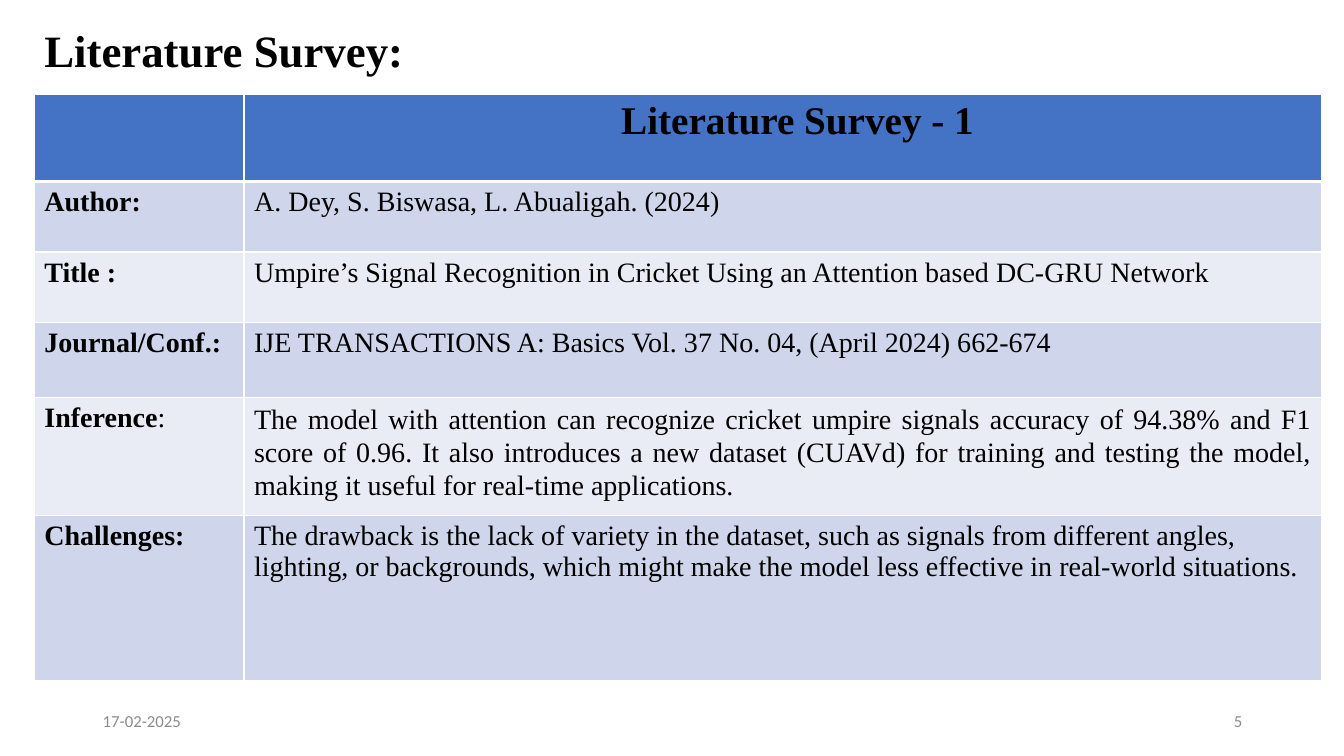
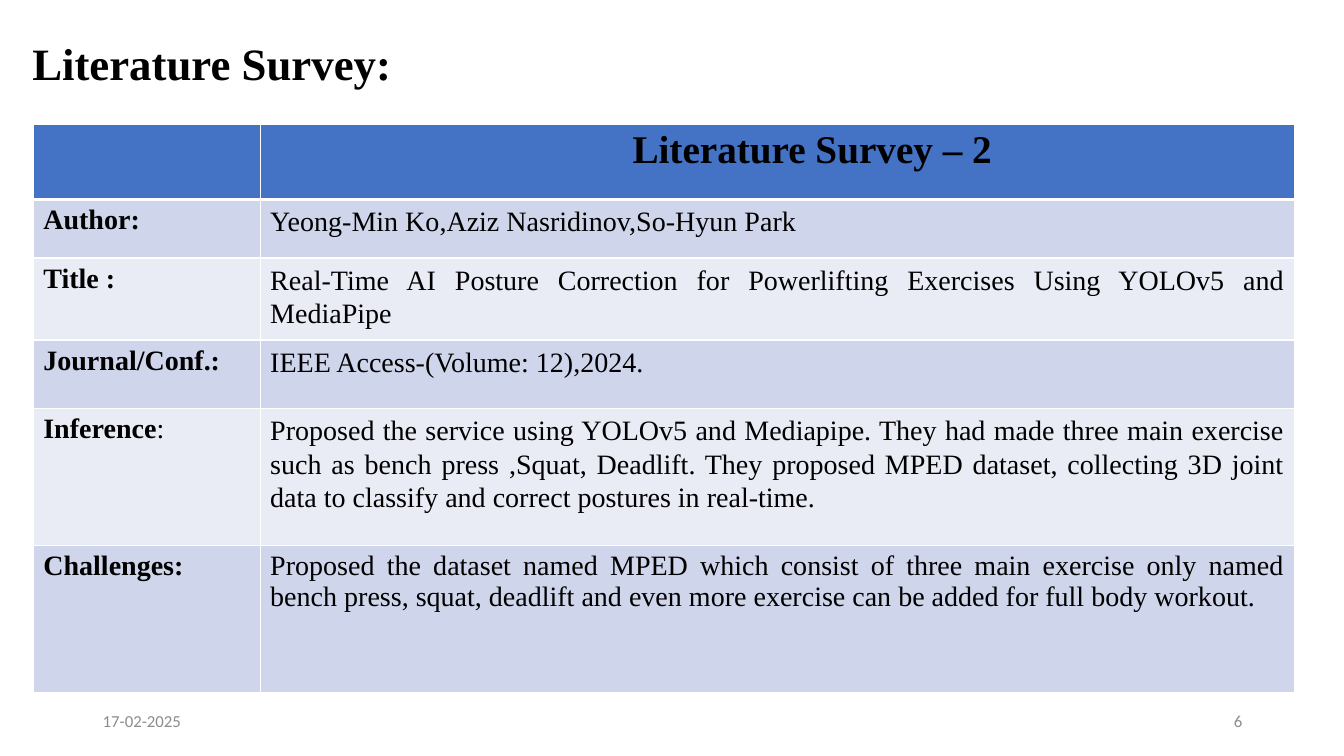
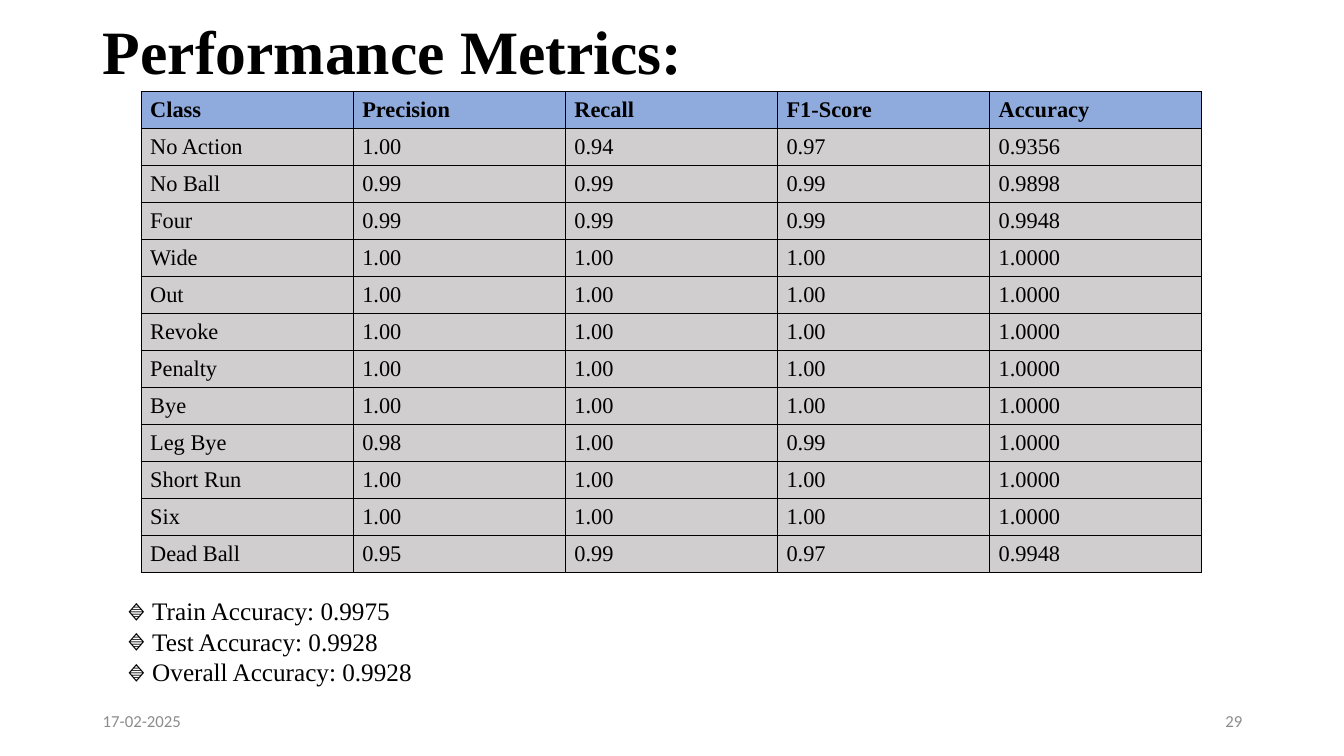
from lxml import etree
from pptx import Presentation
from pptx.dml.color import RGBColor
from pptx.enum.text import MSO_ANCHOR, MSO_AUTO_SIZE, PP_ALIGN
from pptx.oxml.ns import qn
from pptx.util import Inches, Pt

LEFT, CENTER, RIGHT, JUSTIFY = PP_ALIGN.LEFT, PP_ALIGN.CENTER, PP_ALIGN.RIGHT, PP_ALIGN.JUSTIFY
TOP, MIDDLE = MSO_ANCHOR.TOP, MSO_ANCHOR.MIDDLE
NO_FIT = MSO_AUTO_SIZE.NONE

BLACK = RGBColor(0x00, 0x00, 0x00)
WHITE = RGBColor(0xFF, 0xFF, 0xFF)
GRAY = RGBColor(0x8C, 0x8C, 0x8C)
HEADER_BLUE = RGBColor(0x44, 0x72, 0xC4)
BAND_DARK = RGBColor(0xCF, 0xD5, 0xEA)
BAND_LIGHT = RGBColor(0xE9, 0xEB, 0xF5)
METRIC_BLUE = RGBColor(0x8F, 0xAA, 0xDC)
METRIC_GRAY = RGBColor(0xD0, 0xCE, 0xCE)

SERIF, SANS = "Times New Roman", "Calibri"
TITLE_ONLY, TITLE_AND_CONTENT = 5, 1
DATE = "17-02-2025"

JUSTIFIED = {"alignment": JUSTIFY, "line_spacing": 1.07}
SPACED = {**JUSTIFIED, "space_after": Pt(8)}
LABELS = ["Author:", "Title :", "Journal/Conf.:", "Inference", "Challenges:"]

SURVEYS = [
    {
        "number": "5",
        "title": (0.34, -0.2, 11.5, 1.45),
        "title_spacing": 0.9,
        "place": (0.34, 0.94),
        "columns": [2.08, 10.69],
        "rows": [0.86, 0.7, 0.7, 0.74, 1.11, 1.64],
        "heading": "Literature Survey - 1",
        "heading_inset": 0.39,
        "entries": [
            ("A. Dey, S. Biswasa, L. Abualigah. (2024)", {}),
            ("Umpire’s Signal Recognition in Cricket Using an Attention based DC-GRU Network", {}),
            ("IJE TRANSACTIONS A: Basics Vol. 37 No. 04, (April 2024) 662-674", {}),
            ("The model with attention can recognize cricket umpire signals accuracy of 94.38% and F1 "
             "score of 0.96. It also introduces a new dataset (CUAVd) for training and testing the model, "
             "making it useful for real-time applications.", JUSTIFIED),
            ("The drawback is the lack of variety in the dataset, such as signals from different angles, "
             "lighting, or backgrounds, which might make the model less effective in real-world situations.", {}),
        ],
    },
    {
        "number": "6",
        "title": (0.22, 0.3, 6.67, 0.64),
        "title_spacing": 1.0,
        "place": (0.33, 1.23),
        "columns": [2.25, 10.26],
        "rows": [0.75, 0.58, 0.78, 0.68, 1.36, 1.46],
        "heading": "Literature Survey – 2",
        "heading_inset": 0.79,
        "entries": [
            ("Yeong-Min Ko,Aziz Nasridinov,So-Hyun Park", SPACED),
            ("Real-Time AI Posture Correction for Powerlifting Exercises Using YOLOv5 and MediaPipe", SPACED),
            ("IEEE Access-(Volume: 12),2024.", JUSTIFIED),
            ("Proposed the service using YOLOv5 and Mediapipe. They had made three main exercise such as "
             "bench press ,Squat, Deadlift. They proposed MPED dataset, collecting 3D joint data to classify "
             "and correct postures in real-time.", SPACED),
            ("Proposed the dataset named MPED which consist of three main exercise only named bench press, "
             "squat, deadlift and even more exercise can be added for full body workout.",
             {"alignment": JUSTIFY, "space_after": Pt(8)}),
        ],
    },
]

METRICS = [
    ("Class", "Precision", "Recall", "F1-Score", "Accuracy"),
    ("No Action", "1.00", "0.94", "0.97", "0.9356"),
    ("No Ball", "0.99", "0.99", "0.99", "0.9898"),
    ("Four", "0.99", "0.99", "0.99", "0.9948"),
    ("Wide", "1.00", "1.00", "1.00", "1.0000"),
    ("Out", "1.00", "1.00", "1.00", "1.0000"),
    ("Revoke", "1.00", "1.00", "1.00", "1.0000"),
    ("Penalty", "1.00", "1.00", "1.00", "1.0000"),
    ("Bye", "1.00", "1.00", "1.00", "1.0000"),
    ("Leg Bye", "0.98", "1.00", "0.99", "1.0000"),
    ("Short Run", "1.00", "1.00", "1.00", "1.0000"),
    ("Six", "1.00", "1.00", "1.00", "1.0000"),
    ("Dead Ball", "0.95", "0.99", "0.97", "0.9948"),
]
ACCURACIES = ["Train Accuracy: 0.9975", "Test Accuracy: 0.9928", "Overall Accuracy: 0.9928"]


def apply_format(target, values):
    """Set each named attribute of the target."""
    for name, value in values.items():
        setattr(target, name, value)


class Deck:
    """Holds the shared style and the current slide."""

    def __init__(self):
        """Start an empty wide presentation."""
        self.presentation = Presentation()
        apply_format(self.presentation, {"slide_width": Inches(13.33), "slide_height": Inches(7.5)})
        self.slide = None

    def add_slide(self, layout, number):
        """Start a slide with its date and number."""
        self.slide = self.presentation.slides.add_slide(self.presentation.slide_layouts[layout])
        for text, left, alignment in ((DATE, 0.92, LEFT), (number, 9.42, RIGHT)):
            shape = self.slide.shapes.add_textbox(Inches(left), Inches(6.95), Inches(3), Inches(0.4))
            apply_format(shape.text_frame, {"word_wrap": True, "vertical_anchor": MIDDLE})
            self.add_text(shape.text_frame.paragraphs[0], [(text, False)], 12,
                          {"alignment": alignment}, GRAY, SANS)

    def add_text(self, paragraph, runs, size, paragraph_format, color=BLACK, font_name=SERIF):
        """Add runs of text and boldness to a paragraph."""
        apply_format(paragraph, paragraph_format)
        for text, bold in runs:
            run = paragraph.add_run()
            run.text = text
            apply_format(run.font, {"name": font_name, "size": Pt(size), "bold": bold})
            run.font.color.rgb = color

    def place(self, shape, box, anchor):
        """Move a placeholder and set its text frame."""
        apply_format(shape, dict(zip(("left", "top", "width", "height"), map(Inches, box))))
        apply_format(shape.text_frame, {"word_wrap": True, "auto_size": NO_FIT, "vertical_anchor": anchor})

    def title(self, text, box, size, line_spacing):
        """Fill the title placeholder."""
        shape = self.slide.shapes.title
        self.place(shape, box, MIDDLE)
        self.add_text(shape.text_frame.paragraphs[0], [(text, True)], size,
                      {"alignment": LEFT, "line_spacing": line_spacing})

    def bullets(self, items, box, size):
        """Fill the body placeholder with a diamond list."""
        shape = self.slide.placeholders[1]
        self.place(shape, box, TOP)
        for index, item in enumerate(items):
            frame = shape.text_frame
            paragraph = frame.add_paragraph() if index else frame.paragraphs[0]
            properties = paragraph._p.get_or_add_pPr()
            properties.set("marL", str(Inches(0.25)))
            properties.set("indent", str(-Inches(0.25)))
            etree.SubElement(properties, qn("a:buChar")).set("char", "🔹")
            self.add_text(paragraph, [(item, False)], size, {"space_before": Pt(0), "alignment": LEFT})

    def table(self, place, columns, rows):
        """Add a table with the given column widths and row heights."""
        left, top = place
        frame = self.slide.shapes.add_table(len(rows), len(columns), Inches(left), Inches(top),
                                            Inches(sum(columns)), Inches(sum(rows)))
        for column, width in zip(frame.table.columns, columns):
            column.width = Inches(width)
        for row, height in zip(frame.table.rows, rows):
            row.height = Inches(height)
        return frame.table

    def cell(self, cell, runs, size, fill, border, widths=(1, 1, 1, 1), paragraph_format=None, cell_format=None):
        """Fill one cell with borders on the left, right, top and bottom."""
        properties = cell._tc.get_or_add_tcPr()
        for side, width in zip("LRTB", widths):
            line = etree.SubElement(properties, qn("a:ln" + side))
            line.set("w", str(Pt(width)))
            solid = etree.SubElement(line, qn("a:solidFill"))
            etree.SubElement(solid, qn("a:srgbClr")).set("val", str(border))
        cell.fill.solid()
        cell.fill.fore_color.rgb = fill
        apply_format(cell, cell_format or {})
        self.add_text(cell.text_frame.paragraphs[0], runs, size, paragraph_format or {})

    def save(self):
        """Save the presentation."""
        self.presentation.save("out.pptx")


def add_survey(deck, survey):
    """Build a literature survey slide."""
    deck.add_slide(TITLE_ONLY, survey["number"])
    deck.title("Literature Survey:", survey["title"], 32, survey["title_spacing"])
    table = deck.table(survey["place"], survey["columns"], survey["rows"])
    header_widths = (1, 1, 1, 3)
    deck.cell(table.cell(0, 0), [], 28, HEADER_BLUE, WHITE, header_widths)
    deck.cell(table.cell(0, 1), [(survey["heading"], True)], 28, HEADER_BLUE, WHITE, header_widths,
              {"alignment": CENTER}, {"margin_left": Inches(survey["heading_inset"])})
    for row, (label, (text, text_format)) in enumerate(zip(LABELS, survey["entries"]), 1):
        fill = BAND_DARK if row % 2 else BAND_LIGHT
        widths = (1, 1, 3 if row == 1 else 1, 1)
        label_runs = [(label, True)] if label.endswith(":") else [(label, True), (":", False)]
        deck.cell(table.cell(row, 0), label_runs, 20, fill, WHITE, widths)
        deck.cell(table.cell(row, 1), [(text, False)], 20, fill, WHITE, widths, text_format)


def add_metrics(deck):
    """Build the performance metrics slide."""
    deck.add_slide(TITLE_AND_CONTENT, "29")
    deck.title("Performance Metrics:", (0.92, -0.18, 11.5, 1.45), 44, 0.9)
    column_count, row_count = len(METRICS[0]), len(METRICS)
    table = deck.table((1.4, 0.91), [10.52 / column_count] * column_count, [4.76 / row_count] * row_count)
    cell_format = {"vertical_anchor": MIDDLE, "margin_left": Inches(0.09), "margin_right": Inches(0.09)}
    for row, values in enumerate(METRICS):
        fill = METRIC_GRAY if row else METRIC_BLUE
        for column, value in enumerate(values):
            deck.cell(table.cell(row, column), [(value, row == 0)], 16, fill, BLACK, cell_format=cell_format)
    deck.bullets(ACCURACIES, (1.16, 5.86, 6.67, 1.01), 18)


def main():
    """Build and save the slides."""
    deck = Deck()
    for survey in SURVEYS:
        add_survey(deck, survey)
    add_metrics(deck)
    deck.save()


if __name__ == "__main__":
    main()
